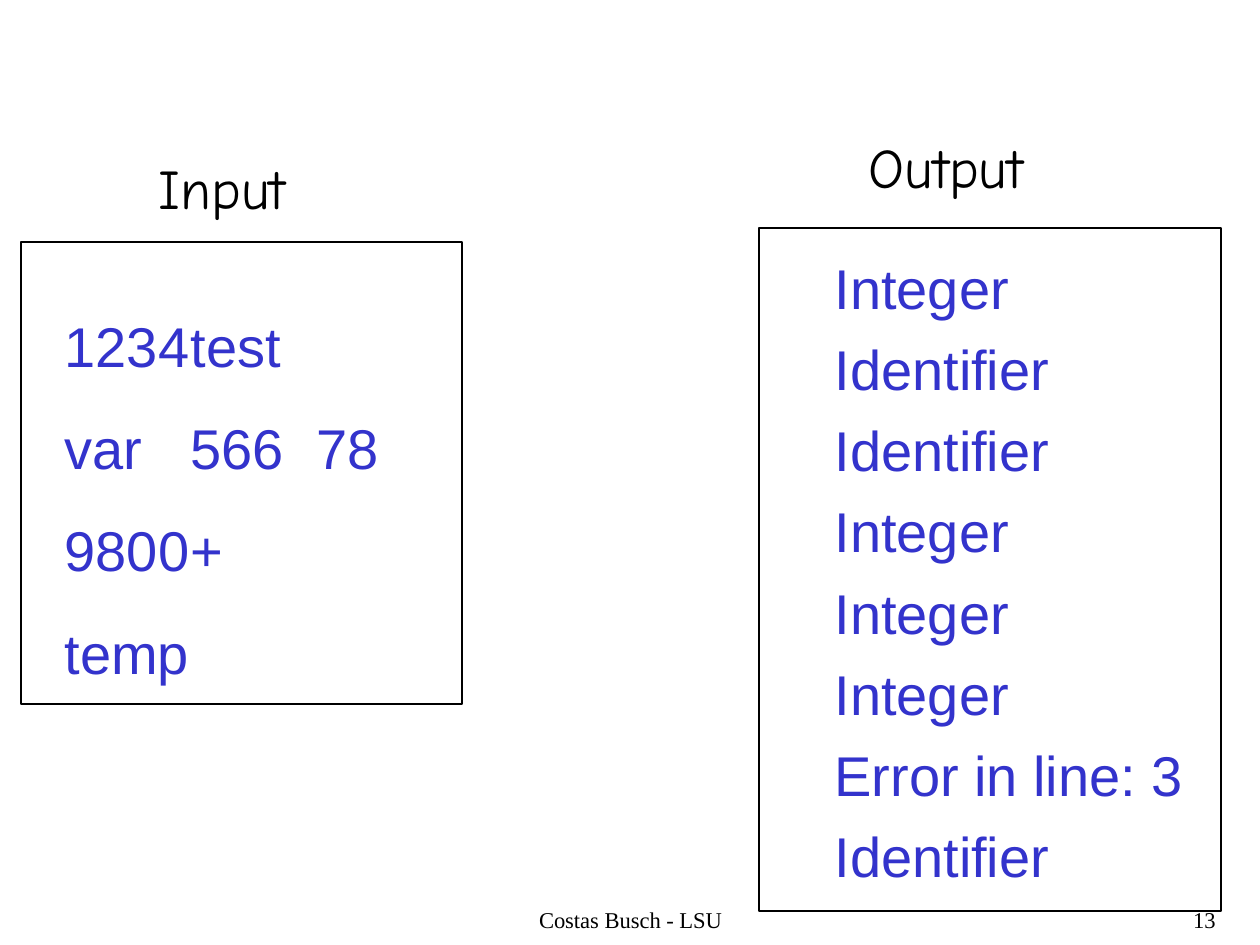
import dataclasses
import typing

import lxml.etree
import pptx
import pptx.dml.color
import pptx.enum.shapes
import pptx.enum.text
import pptx.oxml.ns
import pptx.util

EMU_PER_PX = 914400 / 126
BLACK = pptx.dml.color.RGBColor(0x00, 0x00, 0x00)
BLUE = pptx.dml.color.RGBColor(0x33, 0x33, 0xCC)
ALIGN = pptx.enum.text.PP_ALIGN
COMPARISON_LAYOUT = 4


class Box(typing.NamedTuple):
    left: int
    top: int
    width: int
    height: int


@dataclasses.dataclass(frozen=True)
class Panel:
    heading: str
    heading_box: Box
    heading_index: int
    lines: tuple[str, ...]
    lines_box: Box
    lines_index: int
    space_before: int
    frame: Box
    tab_stops: tuple[tuple[int, ...], ...] = ()


PANELS = (
    Panel(
        "Input", Box(146, 147, 156, 81), 1,
        ("1234\ttest", "var\t566\t78", "9800\t+", "temp"),
        Box(52, 305, 400, 387), 2, 20, Box(21, 242, 441, 462),
        ((187,), (109, 280), (171,), ()),
    ),
    Panel(
        "Output", Box(856, 126, 184, 81), 3,
        ("Integer", "Identifier", "Identifier", "Integer", "Integer",
         "Integer", "Error in line: 3", "Identifier"),
        Box(822, 247, 390, 649), 4, 8, Box(759, 228, 462, 683),
    ),
)


def px(length: int) -> int:
    return round(length * EMU_PER_PX)


def place(shape, box: Box) -> None:
    shape.left, shape.top, shape.width, shape.height = map(px, box)


def set_tab_stops(paragraph, positions: tuple[int, ...]) -> None:
    properties = paragraph._p.get_or_add_pPr()
    stops = lxml.etree.SubElement(properties, pptx.oxml.ns.qn("a:tabLst"))
    for position in positions:
        lxml.etree.SubElement(
            stops, pptx.oxml.ns.qn("a:tab"), pos=str(px(position)), algn="l")


def write_text(shape, lines: tuple[str, ...], *, font: str, size: float,
               color=BLACK, align=ALIGN.LEFT, space_before: float = 0,
               line_spacing: float = 1.0,
               tab_stops: tuple[tuple[int, ...], ...] = ()) -> None:
    frame = shape.text_frame
    frame.text = "\n".join(lines)
    frame.word_wrap = True
    frame.auto_size = pptx.enum.text.MSO_AUTO_SIZE.NONE
    frame.vertical_anchor = pptx.enum.text.MSO_ANCHOR.TOP
    for number, paragraph in enumerate(frame.paragraphs):
        paragraph.alignment = align
        paragraph.line_spacing = line_spacing
        paragraph.space_before = pptx.util.Pt(space_before)
        properties = paragraph._p.get_or_add_pPr()
        properties.set("marL", "0")
        properties.set("indent", "0")
        lxml.etree.SubElement(properties, pptx.oxml.ns.qn("a:buNone"))
        if tab_stops and tab_stops[number]:
            set_tab_stops(paragraph, tab_stops[number])
        for run in paragraph.runs:
            run.font.name = font
            run.font.size = pptx.util.Pt(size)
            run.font.bold = False
            run.font.color.rgb = color


def draw_panel(slide, panel: Panel) -> None:
    frame = slide.shapes.add_shape(
        pptx.enum.shapes.MSO_SHAPE.RECTANGLE, *map(px, panel.frame))
    frame.shadow.inherit = False
    frame.fill.background()
    frame.line.color.rgb = BLACK
    frame.line.width = pptx.util.Pt(0.75)

    heading = slide.placeholders[panel.heading_index]
    place(heading, panel.heading_box)
    write_text(heading, (panel.heading,), font="Comic Neue", size=32,
               space_before=8)

    listing = slide.placeholders[panel.lines_index]
    place(listing, panel.lines_box)
    write_text(listing, panel.lines, font="Arial", size=32, color=BLUE,
               space_before=panel.space_before, tab_stops=panel.tab_stops)


def draw_footer(slide, text: str, box: Box, align) -> None:
    footer = slide.shapes.add_textbox(*map(px, box))
    write_text(footer, (text,), font="Times New Roman", size=12.9,
               align=align, line_spacing=0.9)


def main() -> None:
    presentation = pptx.Presentation()
    presentation.slide_width = px(1260)
    presentation.slide_height = px(945)
    slide = presentation.slides.add_slide(
        presentation.slide_layouts[COMPARISON_LAYOUT])
    unused_title = slide.shapes.title.element
    unused_title.getparent().remove(unused_title)
    draw_footer(slide, "Costas Busch - LSU", Box(431, 903, 399, 42),
                ALIGN.CENTER)
    draw_footer(slide, "13", Box(966, 903, 262, 42), ALIGN.RIGHT)
    for panel in PANELS:
        draw_panel(slide, panel)
    presentation.save("out.pptx")


if __name__ == "__main__":
    main()
